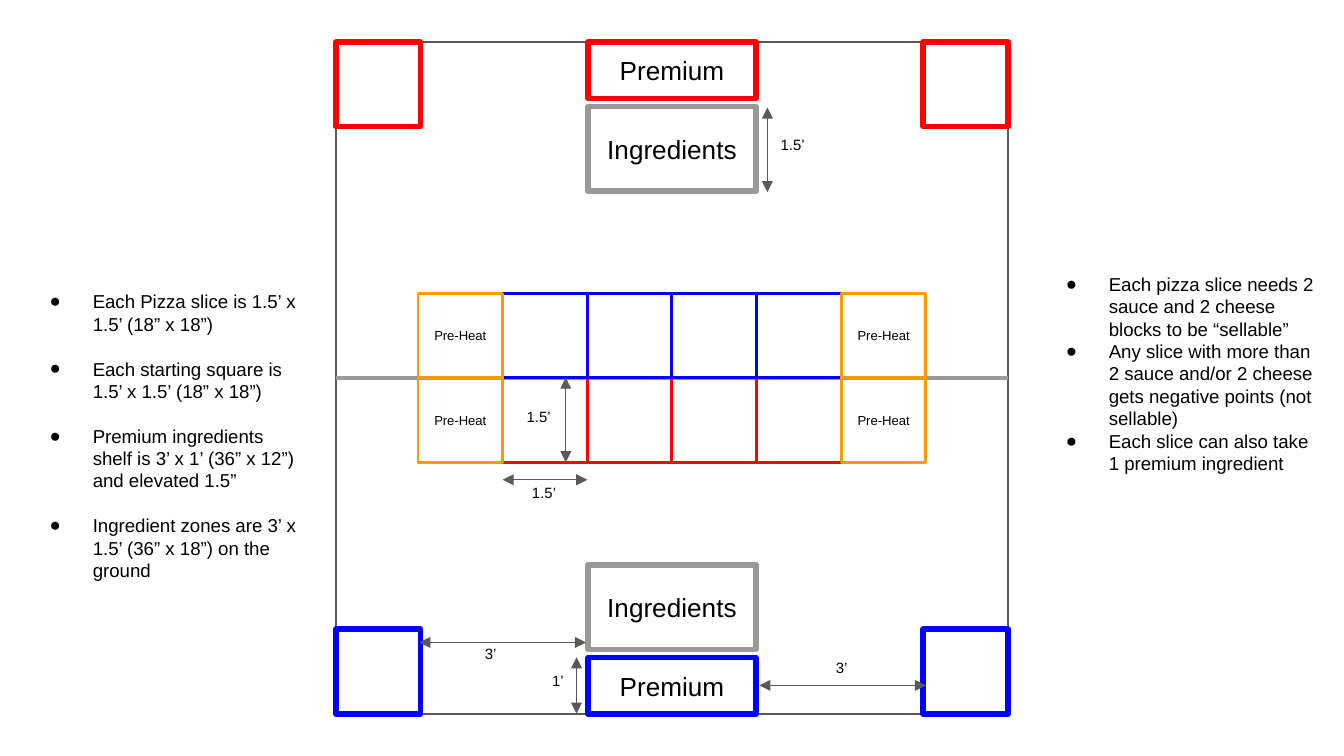
"""Build the pizza game field diagram with its dimensions and rules."""
from lxml import etree
from pptx import Presentation
from pptx.dml.color import RGBColor
from pptx.enum.shapes import MSO_CONNECTOR, MSO_SHAPE
from pptx.enum.text import MSO_ANCHOR, MSO_AUTO_SIZE, PP_ALIGN
from pptx.oxml.ns import qn
from pptx.util import Inches, Pt

RECTANGLE = MSO_SHAPE.RECTANGLE
STRAIGHT = MSO_CONNECTOR.STRAIGHT
MIDDLE = MSO_ANCHOR.MIDDLE
TOP = MSO_ANCHOR.TOP
CENTER = PP_ALIGN.CENTER
LEFT = PP_ALIGN.LEFT
NO_AUTOFIT = MSO_AUTO_SIZE.NONE

FONT = "Arial"
BLACK, DARK, GRAY = "000000", "595959", "999999"
RED, BLUE, ORANGE = "FF0000", "0000FF", "FF9900"

SLIDE_WIDTH = 10
SLIDE_HEIGHT = SLIDE_WIDTH * 9 / 16
FIELD_SIZE = 5
CENTER_X, CENTER_Y = SLIDE_WIDTH / 2, SLIDE_HEIGHT / 2
FIELD_LEFT, FIELD_TOP = CENTER_X - FIELD_SIZE / 2, CENTER_Y - FIELD_SIZE / 2
FIELD_RIGHT, FIELD_BOTTOM = FIELD_LEFT + FIELD_SIZE, FIELD_TOP + FIELD_SIZE
CELL = 0.63
ZONE_WIDTH, SHELF_HEIGHT, ZONE_GAP = 1.25, 0.42, 0.06
GRID_COLUMNS = 6
GRID_LEFT = CENTER_X - GRID_COLUMNS / 2 * CELL
ZONE_LEFT = CENTER_X - ZONE_WIDTH / 2

RULES = [
    (0.09, 2.06, 2.39, 12, [
        "Each Pizza slice is 1.5’ x 1.5’ (18” x 18”)",
        "Each starting square is 1.5’ x 1.5’ (18” x 18”)",
        "Premium ingredients shelf is 3’ x 1’ (36” x 12”) and elevated 1.5”",
        "Ingredient zones are 3’ x 1.5’ (36” x 18”) on the ground",
    ]),
    (7.65, 1.93, 1.72, 0, [
        "Each pizza slice needs 2 sauce and 2 cheese blocks to be “sellable”",
        "Any slice with more than 2 sauce and/or 2 cheese gets negative points (not sellable)",
        "Each slice can also take 1 premium ingredient",
    ]),
]
GRID_ROWS = [(CENTER_Y, RED), (CENTER_Y - CELL, BLUE)]
TEAMS = [
    (BLUE, FIELD_BOTTOM - CELL, FIELD_BOTTOM - SHELF_HEIGHT,
     FIELD_BOTTOM - SHELF_HEIGHT - ZONE_GAP - CELL),
    (RED, FIELD_TOP, FIELD_TOP, FIELD_TOP + SHELF_HEIGHT + ZONE_GAP),
]
DIMENSIONS = [
    ("1.5’", (3.74, 3.57), (4.37, 3.57), (3.86, 3.53)),
    ("1.5’", (4.21, 3.44), (4.21, 2.81), (3.82, 2.96)),
    ("3’", (5.65, 5.1), (6.89, 5.1), (6.12, 4.83)),
    ("1’", (4.29, 5.31), (4.29, 4.89), (4.01, 4.93)),
    ("3’", (3.12, 4.78), (4.36, 4.78), (3.51, 4.73)),
    ("1.5’", (5.71, 1.43), (5.71, 0.8), (5.71, 0.94)),
]


def color(value):
    return RGBColor.from_string(value)


def place(shape, *box):
    shape.left, shape.top, shape.width, shape.height = map(Inches, box)


def format_frame(frame, anchor, top_margin=0.1):
    frame.word_wrap = True
    frame.auto_size = NO_AUTOFIT
    frame.vertical_anchor = anchor
    frame.margin_left = frame.margin_right = frame.margin_bottom = Inches(0.1)
    frame.margin_top = Inches(top_margin)


def format_paragraph(paragraph, size, alignment):
    paragraph.alignment = alignment
    paragraph.font.name = FONT
    paragraph.font.size = Pt(size)
    paragraph.font.color.rgb = color(BLACK)


def add_box(slide, box, line_color, weight, text="", size=14):
    shape = slide.shapes.add_shape(RECTANGLE, *map(Inches, box))
    shape.shadow.inherit = False
    shape.fill.background()
    shape.line.color.rgb = color(line_color)
    shape.line.width = Pt(weight)
    if text:
        format_frame(shape.text_frame, MIDDLE)
        shape.text_frame.text = text
        format_paragraph(shape.text_frame.paragraphs[0], size, CENTER)


def add_line(slide, start, end, line_color, weight, arrows=False):
    connector = slide.shapes.add_connector(STRAIGHT, *map(Inches, start + end))
    connector.line.color.rgb = color(line_color)
    connector.line.width = Pt(weight)
    properties = connector._element.spPr
    if arrows:
        outline = properties.find(qn("a:ln"))
        for tag in ("a:headEnd", "a:tailEnd"):
            etree.SubElement(outline, qn(tag), type="triangle")
    etree.SubElement(properties, qn("a:effectLst"))


def add_label(slide, text, position):
    label = slide.shapes.add_textbox(*map(Inches, position + (0.39, 0.34)))
    format_frame(label.text_frame, TOP, 0.07)
    label.text_frame.text = text
    format_paragraph(label.text_frame.paragraphs[0], 8, LEFT)


def fill_rules(placeholder, left, top, height, gap, rules):
    place(placeholder, left, top, 2.26, height)
    frame = placeholder.text_frame
    format_frame(frame, TOP)
    frame.text = "\n".join(rules)
    for paragraph in frame.paragraphs:
        paragraph.line_spacing = Pt(12)
        paragraph.space_before = Pt(0)
        paragraph.space_after = Pt(gap)
        properties = paragraph._p.get_or_add_pPr()
        properties.set("marL", str(Inches(0.5)))
        properties.set("indent", str(Inches(-0.32)))
        bullet_color = etree.SubElement(properties, qn("a:buClr"))
        etree.SubElement(bullet_color, qn("a:srgbClr"), val=BLACK)
        etree.SubElement(properties, qn("a:buFont"), typeface=FONT)
        etree.SubElement(properties, qn("a:buChar"), char="●")
        format_paragraph(paragraph, 10, LEFT)


def add_field(slide):
    add_box(slide, (FIELD_LEFT, FIELD_TOP, FIELD_SIZE, FIELD_SIZE), DARK, 0.75)
    add_line(slide, (FIELD_LEFT, CENTER_Y), (FIELD_RIGHT, CENTER_Y), GRAY, 2.25)
    for top, row_color in GRID_ROWS:
        for column in range(1, GRID_COLUMNS - 1):
            add_box(slide, (GRID_LEFT + column * CELL, top, CELL, CELL), row_color, 1.5)
    for top, _ in GRID_ROWS:
        for column in (0, GRID_COLUMNS - 1):
            box = (GRID_LEFT + column * CELL, top, CELL, CELL)
            add_box(slide, box, ORANGE, 1.5, "Pre-Heat", 7)


def add_team_areas(slide):
    for team_color, square_top, shelf_top, zone_top in TEAMS:
        for left in (FIELD_LEFT, FIELD_RIGHT - CELL):
            add_box(slide, (left, square_top, CELL, CELL), team_color, 3)
        shelf = (ZONE_LEFT, shelf_top, ZONE_WIDTH, SHELF_HEIGHT)
        add_box(slide, shelf, team_color, 3, "Premium")
        add_box(slide, (ZONE_LEFT, zone_top, ZONE_WIDTH, CELL), GRAY, 3, "Ingredients")


def main():
    presentation = Presentation()
    presentation.slide_width = Inches(SLIDE_WIDTH)
    presentation.slide_height = Inches(SLIDE_HEIGHT)
    slide = presentation.slides.add_slide(presentation.slide_layouts[3])
    title = slide.shapes.title._element
    title.getparent().remove(title)
    for placeholder, rules in zip(slide.placeholders, RULES):
        fill_rules(placeholder, *rules)
    add_field(slide)
    add_team_areas(slide)
    for text, start, end, position in DIMENSIONS:
        add_line(slide, start, end, DARK, 0.75, arrows=True)
        add_label(slide, text, position)
    presentation.save("out.pptx")


if __name__ == "__main__":
    main()
